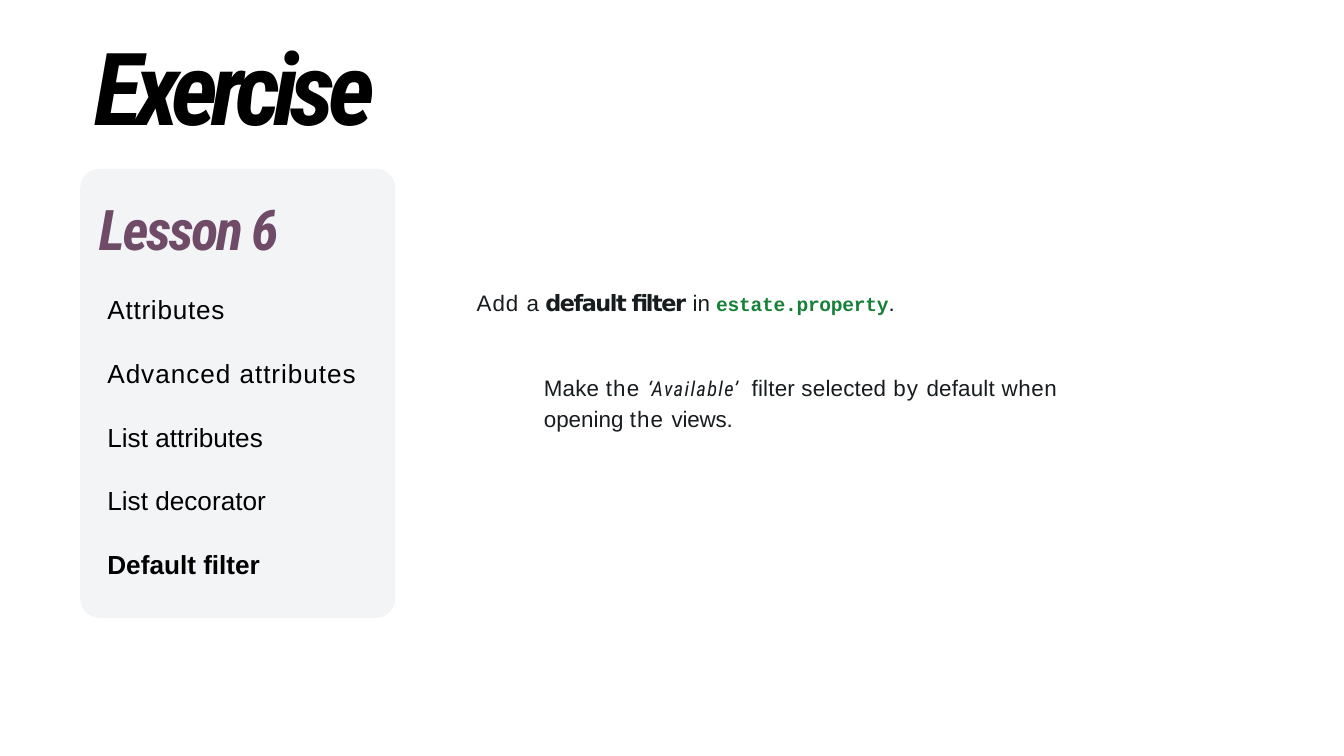
from dataclasses import dataclass

from pptx import Presentation
from pptx.dml.color import RGBColor
from pptx.enum.shapes import MSO_SHAPE
from pptx.enum.text import MSO_ANCHOR, MSO_AUTO_SIZE, PP_ALIGN
from pptx.util import Cm, Pt


@dataclass(frozen=True)
class Theme:
    black: str = "000000"
    ink: str = "171C1F"
    plum: str = "704B67"
    code: str = "178038"
    panel: str = "F2F4F6"
    body_font: str = "Arial"
    display_font: str = "Roboto Condensed"
    strong_font: str = "DejaVu Sans"
    code_font: str = "Courier New"
    title_size: float = 54
    heading_size: float = 30
    list_size: float = 14
    body_size: float = 12
    quote_size: float = 11
    code_size: float = 10.5


THEME = Theme()


def add_span(para, text, size=THEME.body_size, font=THEME.body_font, color=THEME.ink,
             bold=False, italic=False, tracking=0):
    span = para.add_run()
    span.text = text
    span.font.size = Pt(size)
    span.font.name = font
    span.font.bold = bold
    span.font.italic = italic
    span.font.color.rgb = RGBColor.from_string(color)
    span._r.get_or_add_rPr().set("spc", str(round(tracking * 100)))


def format_frame(frame):
    frame.word_wrap = True
    frame.auto_size = MSO_AUTO_SIZE.NONE
    frame.vertical_anchor = MSO_ANCHOR.TOP
    frame.margin_left = frame.margin_right = frame.margin_bottom = 0
    frame.margin_top = Cm(0.06)
    frame.paragraphs[0].alignment = PP_ALIGN.LEFT


def add_text_box(page, left, top, width, height):
    box = page.shapes.add_textbox(Cm(left), Cm(top), Cm(width), Cm(height))
    format_frame(box.text_frame)
    return box.text_frame


def set_title(page, text):
    title = page.shapes.title
    title.left, title.top, title.width, title.height = Cm(1.78), Cm(0.41), Cm(7.29), Cm(2.46)
    format_frame(title.text_frame)
    add_span(title.text_frame.paragraphs[0], text, size=THEME.title_size,
             font=THEME.display_font, color=THEME.black, bold=True, italic=True, tracking=-3.8)


def add_panel(page):
    panel = page.shapes.add_shape(MSO_SHAPE.ROUNDED_RECTANGLE, Cm(1.53), Cm(3.2), Cm(5.93), Cm(8.46))
    panel.adjustments[0] = 0.06
    panel.shadow.inherit = False
    panel.fill.solid()
    panel.fill.fore_color.rgb = RGBColor.from_string(THEME.panel)
    panel.line.color.rgb = RGBColor.from_string(THEME.panel)
    panel.line.width = Pt(0.75)


def add_lesson(page, heading, topics):
    frame = add_text_box(page, 1.87, 3.61, 5.4, 7.37)
    add_span(frame.paragraphs[0], heading, size=THEME.heading_size, font=THEME.display_font,
             color=THEME.plum, bold=True, italic=True, tracking=-1.2)
    for topic, tracking in topics:
        para = frame.add_paragraph()
        para._p.get_or_add_pPr().set("marL", str(Cm(0.16)))
        para.line_spacing = 1.88
        para.space_before = Pt(2.5)
        add_span(para, topic, size=THEME.list_size, color=THEME.black,
                 bold=topic == topics[-1][0], tracking=tracking)


def add_task(page):
    para = add_text_box(page, 9.01, 5.41, 7.95, 0.56).paragraphs[0]
    add_span(para, "Add ", tracking=0.5)
    add_span(para, "a ")
    add_span(para, "default filter ", font=THEME.strong_font, bold=True, tracking=-0.8)
    add_span(para, "in ")
    add_span(para, "estate.property", size=THEME.code_size, font=THEME.code_font,
             color=THEME.code, bold=True, tracking=-0.1)
    add_span(para, ".", tracking=-0.1)


def add_detail(page):
    para = add_text_box(page, 10.28, 6.93, 10.08, 1.24).paragraphs[0]
    para.line_spacing = 1.15
    add_span(para, "Make ", tracking=0.1)
    add_span(para, "the ", tracking=0.6)
    quote = {"size": THEME.quote_size, "font": THEME.display_font, "italic": True}
    add_span(para, "‘Available’", tracking=0.7, **quote)
    add_span(para, " ", tracking=3.9, **quote)
    for text, tracking in (("filter selected ", 0.1), ("by ", 0.6), ("default ", 0.1),
                           ("when ", 0.3), ("opening ", 0), ("the ", 0.6), ("views.", -0.1)):
        add_span(para, text, tracking=tracking)


def main():
    deck = Presentation()
    deck.slide_width, deck.slide_height = Cm(25.4), Cm(14.28)
    page = deck.slides.add_slide(deck.slide_layouts[5])
    set_title(page, "Exercise")
    add_panel(page)
    add_lesson(page, "Lesson 6", [("Attributes", 0.4), ("Advanced attributes", 0.5),
                                  ("List attributes", 0), ("List decorator", 0),
                                  ("Default filter", 0)])
    add_task(page)
    add_detail(page)
    deck.save("out.pptx")


if __name__ == "__main__":
    main()
